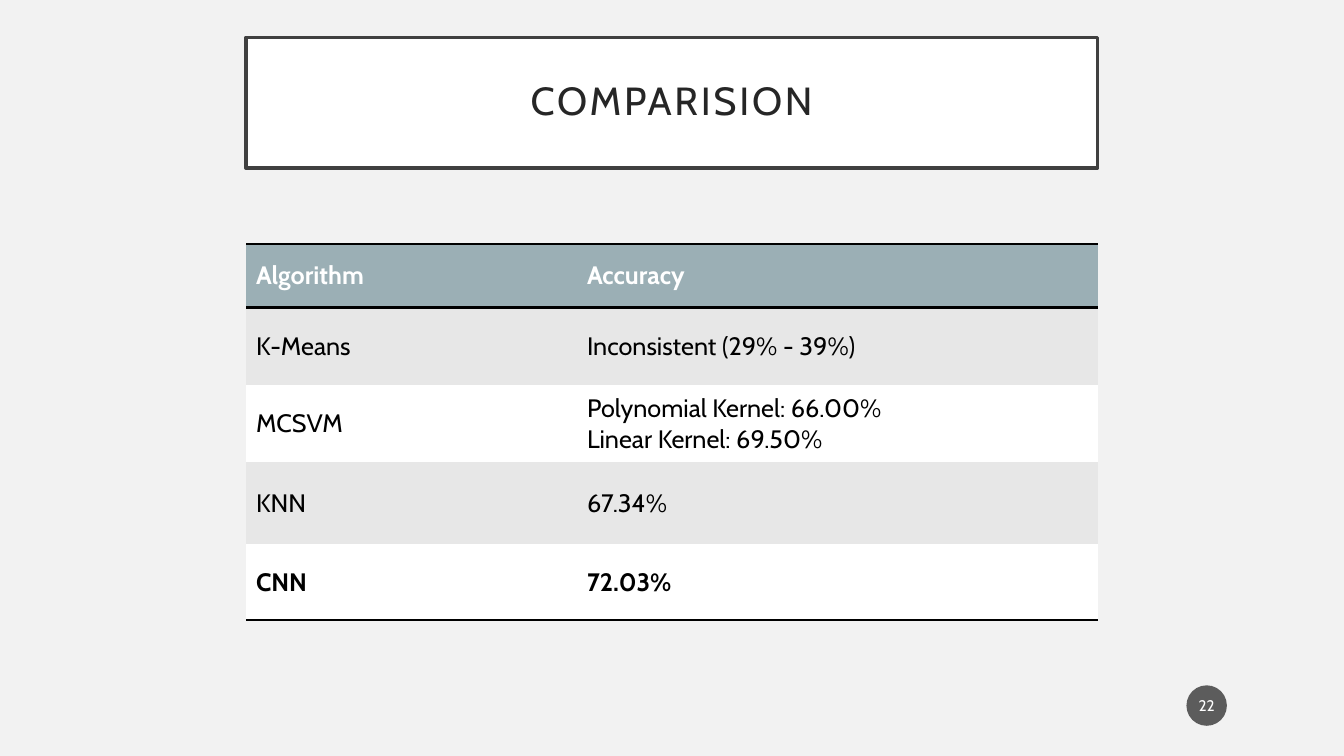
"""Build the slide that compares the accuracy of the algorithms."""
from lxml import etree
from pptx import Presentation
from pptx.dml.color import RGBColor
from pptx.enum.shapes import MSO_SHAPE
from pptx.enum.text import MSO_ANCHOR, MSO_AUTO_SIZE, PP_ALIGN
from pptx.oxml.ns import qn
from pptx.util import Cm, Pt

OVAL = MSO_SHAPE.OVAL
MIDDLE = MSO_ANCHOR.MIDDLE
NO_FIT = MSO_AUTO_SIZE.NONE
CENTER = PP_ALIGN.CENTER
NO_STYLE = "{2D5ABB26-0587-4C30-8999-92F81FD0307C}"
LEFT, WIDTH = Cm(6.2), Cm(21.46)


def paint(fill, color):
    fill.solid()
    fill.fore_color.rgb = RGBColor.from_string(color)


def add_run(p, text, size, color, bold=False):
    r = p.add_run()
    r.text = text
    r.font.name = "Cabin"
    r.font.size = Pt(size)
    r.font.bold = bold
    paint(r.font.fill, color)
    return r


prs = Presentation()
prs.slide_width, prs.slide_height = Cm(33.87), Cm(19.05)
s = prs.slides.add_slide(prs.slide_layouts[5])
paint(s.background.fill, "F2F2F2")

title = s.shapes.title
title.left, title.top, title.width, title.height = LEFT, Cm(0.94), WIDTH, Cm(3.3)
paint(title.fill, "FFFFFF")
paint(title.line.fill, "404040")
title.line.width = Pt(2.5)
tf = title.text_frame
tf.auto_size = NO_FIT
tf.word_wrap = True
tf.vertical_anchor = MIDDLE
tf.margin_left = tf.margin_right = tf.margin_top = tf.margin_bottom = Cm(0.5)
p = tf.paragraphs[0]
p.alignment = CENTER
p.line_spacing = 0.9
r = add_run(p, "COMPARISION", 28, "262626")
r.font._element.set("spc", "200")

rows = [
    ("Algorithm", ["Accuracy"]),
    ("K-Means", ["Inconsistent (29% - 39%)"]),
    ("MCSVM", ["Polynomial Kernel: 66.00%", "Linear Kernel: 69.50%"]),
    ("KNN", ["67.34%"]),
    ("CNN", ["72.03%"]),
]
heights = [1.6, 1.96, 1.93, 2.08, 1.9]
last = len(rows) - 1
frame = s.shapes.add_table(len(rows), 2, LEFT, Cm(6.15), WIDTH, Cm(sum(heights)))
next(frame.element.iter(qn("a:tableStyleId"))).text = NO_STYLE
table = frame.table
table.columns[0].width, table.columns[1].width = Cm(8.34), Cm(13.12)

for i, (algorithm, accuracy) in enumerate(rows):
    table.rows[i].height = Cm(heights[i])
    band = "9BAFB5" if i == 0 else "E7E7E7" if i % 2 else "FFFFFF"
    edges = {0: ["a:lnT", "a:lnB"], last: ["a:lnB"]}.get(i, [])
    for cell, lines in zip(table.rows[i].cells, ([algorithm], accuracy)):
        cell.vertical_anchor = MIDDLE
        for edge in edges:
            ln = etree.SubElement(cell._tc.get_or_add_tcPr(), qn(edge), w=str(Pt(2)))
            solid = etree.SubElement(ln, qn("a:solidFill"))
            etree.SubElement(solid, qn("a:srgbClr"), val="000000")
        paint(cell.fill, band)
        tf = cell.text_frame
        for n, line in enumerate(lines):
            p = tf.add_paragraph() if n else tf.paragraphs[0]
            add_run(p, line, 18, "000000" if i else "FFFFFF", i in (0, last))

badge = s.shapes.add_shape(OVAL, Cm(29.9), Cm(17.27), Cm(1.02), Cm(1.02))
badge.shadow.inherit = False
badge.line.fill.background()
paint(badge.fill, "1D1D1D")
color = next(badge.element.spPr.iter(qn("a:srgbClr")))
etree.SubElement(color, qn("a:alpha"), val="70000")
tf = badge.text_frame
tf.word_wrap = True
tf.vertical_anchor = MIDDLE
tf.margin_left = tf.margin_right = Cm(0.05)
p = tf.paragraphs[0]
p.alignment = CENTER
add_run(p, "22", 11, "FFFFFF")

prs.save("out.pptx")
